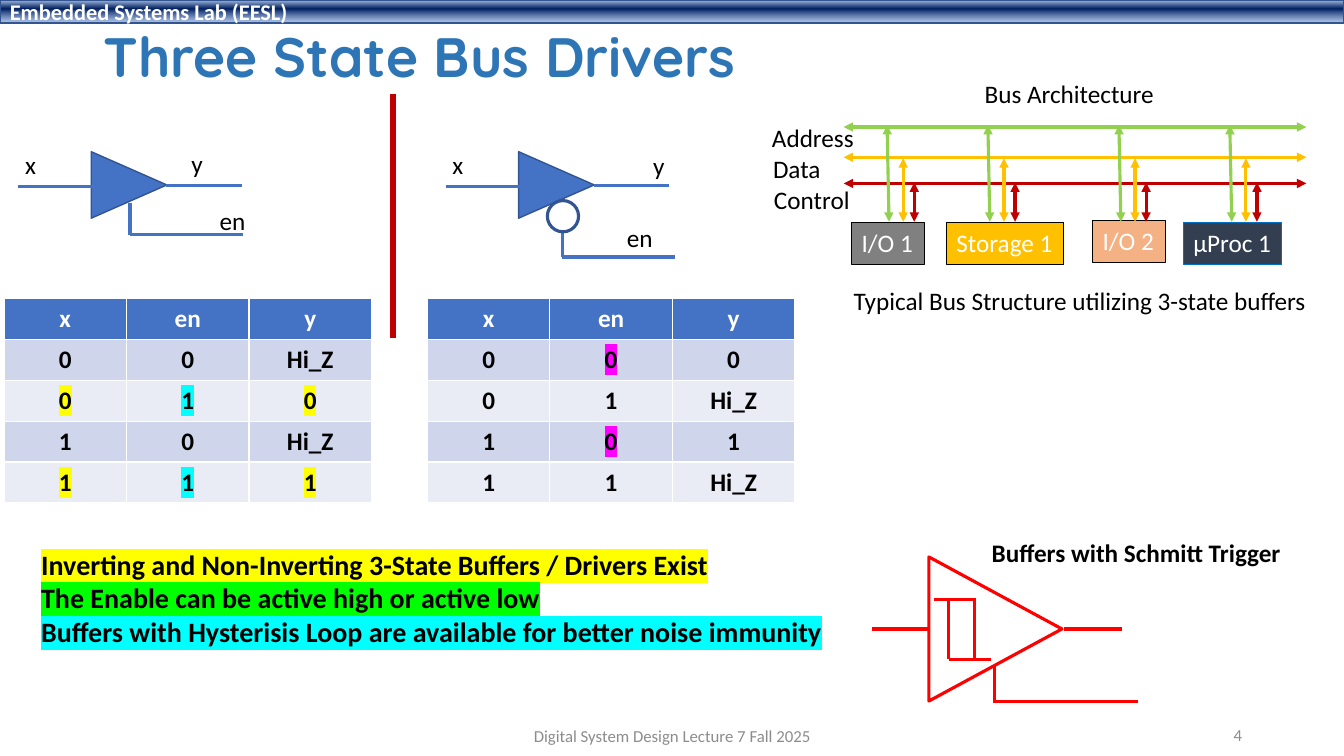
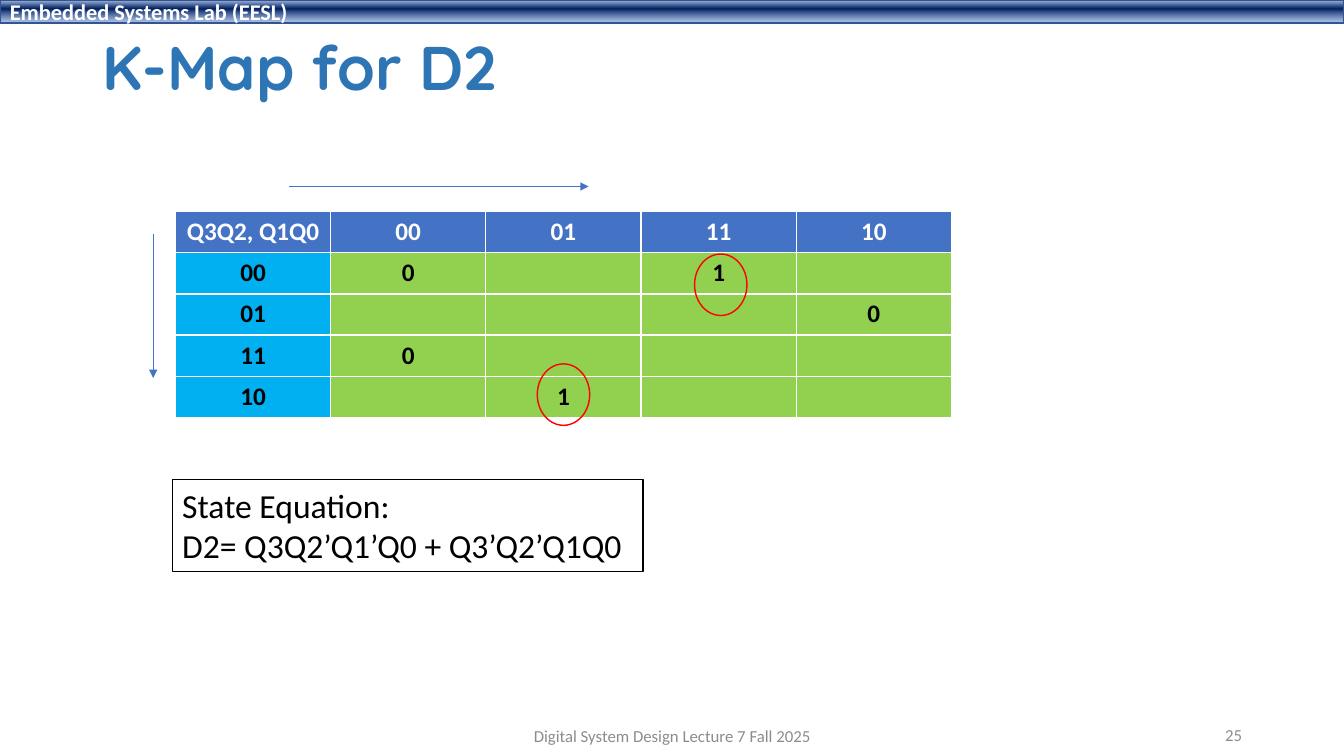
import lxml.etree
import pptx
import pptx.dml.color
import pptx.enum.shapes
import pptx.enum.text
import pptx.oxml
import pptx.oxml.ns
import pptx.util

# Colours
RGB = pptx.dml.color.RGBColor
WHITE, BLACK, GREY = RGB(255, 255, 255), RGB(0, 0, 0), RGB(0x8C, 0x8C, 0x8C)
TITLE_BLUE = RGB(0x2E, 0x75, 0xB6)
BLUE, EDGE = RGB(0x44, 0x72, 0xC4), RGB(0x32, 0x54, 0x91)
BAND_DARK, BAND_LIGHT = RGB(0xCF, 0xD5, 0xEA), RGB(0xE9, 0xEB, 0xF5)
SKY, LEAF = RGB(0, 0xB0, 0xF0), RGB(0x92, 0xD0, 0x50)
AMBER, CRIMSON, RED = RGB(0xFF, 0xC0, 0), RGB(0xC0, 0, 0), RGB(255, 0, 0)
STONE, PEACH, SLATE = RGB(0x80, 0x80, 0x80), RGB(0xF4, 0xB1, 0x83), RGB(0x33, 0x3F, 0x50)
STEEL = RGB(0, 0x70, 0xC0)
YELLOW, LIME = RGB(255, 255, 0), RGB(0, 255, 0)
CYAN, MAGENTA = RGB(0, 255, 255), RGB(255, 0, 255)

# Grid: square cells of a tenth of an inch
CELL = 0.1
COLS, ROWS = 133.33, 75
BODY_FONT, TITLE_FONT = "Calibri", "Quicksand"
BAND_STOPS = [(2, "ABC0E4", 100), (38, "002060", 100), (93, "7E9ED6", 64)]

SHAPE = pptx.enum.shapes.MSO_SHAPE
ANCHOR = pptx.enum.text.MSO_ANCHOR
ALIGN = pptx.enum.text.PP_ALIGN


def grid(*cells):
    return [pptx.util.Inches(n * CELL) for n in cells]


def child(parent, tag, **attributes):
    return lxml.etree.SubElement(parent, pptx.oxml.ns.qn(tag), attributes)


def write(tf, text, size=18, color=BLACK, bold=False, font=BODY_FONT,
          align=ALIGN.LEFT, spacing=None, marks=()):
    """One paragraph per line of text; marks are highlight colours by line."""
    for i, line in enumerate(text.split("\n")):
        p = tf.add_paragraph() if i else tf.paragraphs[0]
        p.alignment = align
        p.line_spacing = spacing
        r = p.add_run()
        r.text = line
        r.font.size = pptx.util.Pt(size)
        r.font.bold = bold
        r.font.color.rgb = color
        if i < len(marks):
            highlight = child(r.font._element, "a:highlight")
            child(highlight, "a:srgbClr", val=str(marks[i]))
        r.font.name = font


class Deck:
    """Presentation style and the slide being drawn."""

    def __init__(self):
        self.prs = pptx.Presentation()
        self.prs.slide_width, self.prs.slide_height = grid(COLS, ROWS)

    def slide(self, title, title_at, title_size, number):
        self.s = self.prs.slides.add_slide(self.prs.slide_layouts[6])
        self.band()
        self.text(title, *title_at, wrap=True, anchor=ANCHOR.MIDDLE, size=title_size,
                  color=TITLE_BLUE, bold=True, font=TITLE_FONT, spacing=0.9)
        footer = dict(wrap=True, anchor=ANCHOR.MIDDLE, size=12, color=GREY)
        self.text("Digital System Design Lecture 7 Fall 2025", 44.2, 71, 45, 4,
                  align=ALIGN.CENTER, **footer)
        self.text(str(number), 94.2, 70.9, 30, 4, align=ALIGN.RIGHT, **footer)

    def band(self):
        sp = self.shape(SHAPE.RECTANGLE, 0, 0, COLS, 2.3, line=EDGE)
        sp.fill.gradient()
        sp.fill.gradient_angle = 270
        stops = sp._element.spPr.find(".//" + pptx.oxml.ns.qn("a:gsLst"))
        for stop in list(stops):
            stops.remove(stop)
        for position, color, opacity in BAND_STOPS:
            stop = child(stops, "a:gs", pos=str(position * 1000))
            shade = child(stop, "a:srgbClr", val=color)
            child(shade, "a:alpha", val=str(opacity * 1000))
        sp.text_frame.vertical_anchor = ANCHOR.MIDDLE
        write(sp.text_frame, "Embedded Systems Lab (EESL)", size=16, color=WHITE, bold=True)

    def fit(self, tf, wrap=False, anchor=ANCHOR.TOP):
        tf.word_wrap = wrap
        tf.vertical_anchor = anchor
        if not wrap:
            tf.auto_size = pptx.enum.text.MSO_AUTO_SIZE.SHAPE_TO_FIT_TEXT

    def text(self, text, x, y, w, h, wrap=False, anchor=ANCHOR.TOP, **style):
        tf = self.s.shapes.add_textbox(*grid(x, y, w, h)).text_frame
        self.fit(tf, wrap, anchor)
        write(tf, text, **style)

    def shape(self, kind, x, y, w, h, fill=None, line=BLACK, weight=1, rotation=0):
        sp = self.s.shapes.add_shape(kind, *grid(x, y, w, h))
        sp.shadow.inherit = False
        sp.rotation = rotation
        if fill is None:
            sp.fill.background()
        else:
            sp.fill.solid()
            sp.fill.fore_color.rgb = fill
        sp.line.color.rgb = line
        sp.line.width = pptx.util.Pt(weight)
        return sp

    def box(self, text, x, y, w, h, fill, line=BLACK, weight=1, **style):
        sp = self.shape(SHAPE.RECTANGLE, x, y, w, h, fill, line, weight)
        self.fit(sp.text_frame)
        write(sp.text_frame, text, **style)

    def line(self, x1, y1, x2, y2, color=BLUE, weight=2.25, arrows=()):
        c = self.s.shapes.add_connector(pptx.enum.shapes.MSO_CONNECTOR.STRAIGHT,
                                        *grid(x1, y1, x2, y2))
        c.line.color.rgb = color
        c.line.width = pptx.util.Pt(weight)
        for end in arrows:
            child(c.line._get_or_add_ln(), f"a:{end}End", type="triangle")
        child(c._element.spPr, "a:effectLst")

    def table(self, x, y, col_width, row_height, rows, fill, marks):
        """fill gives a body cell's colour; marks maps cells to highlights."""
        w, h = col_width * len(rows[0]), row_height * len(rows)
        table = self.s.shapes.add_table(len(rows), len(rows[0]), *grid(x, y, w, h)).table
        for i, row in enumerate(rows):
            for j, value in enumerate(row):
                cell = table.cell(i, j)
                cell.fill.solid()
                cell.fill.fore_color.rgb = fill(i, j) if i else BLUE
                if value:
                    write(cell.text_frame, value, bold=True, align=ALIGN.CENTER,
                          color=BLACK if i else WHITE,
                          marks=[marks[i, j]] if (i, j) in marks else [])

    def buffer(self, x, y_label, en_label, inverted=False):
        """Three-state buffer; an inverted enable carries a bubble."""
        self.shape(SHAPE.ISOSCELES_TRIANGLE, x + 9.5, 14.6, 6.6, 7.5, BLUE, EDGE, rotation=90)
        self.line(x + 1.8, 18.5, x + 9.2, 18.5)
        self.line(x + 16.5, 18.4, x + 24, 18.4)
        stem, top, bottom = (13.4, 23, 25.5) if inverted else (12.9, 20.1, 23.3)
        self.line(x + stem, top, x + stem, bottom)
        self.line(x + stem, bottom, x + stem + 11.2, bottom)
        if inverted:
            self.shape(SHAPE.OVAL, x + 11.9, 19.9, 3.1, 3.1, line=EDGE, weight=2.25)
        self.text("x", x + 1.5, 14.3, 3.1, 4)
        self.text("y", *y_label, 3.2, 4)
        self.text("en", *en_label, 4.6, 4)


def bus_drivers(deck):
    deck.slide("Three State Bus Drivers", (9.3, 1.1, 67.1, 9.7), 39.6, 4)

    # Buffers and their truth tables
    deck.buffer(0, (18, 14.2), (20.8, 19.9))
    deck.buffer(42.4, (63.8, 14.4), (61.2, 21.6), inverted=True)
    deck.line(39, 9.3, 39, 33.5, CRIMSON, 4.5)
    inputs = ["00", "01", "10", "11"]
    active_high = {(i, j): CYAN if j == 1 else YELLOW for i in (2, 4) for j in range(3)}
    active_low = {(i, 1): MAGENTA for i in (1, 3)}
    for x, enabled, marks in [(0.4, "1", active_high), (42.4, "0", active_low)]:
        rows = [["x", "en", "y"]]
        rows += [[a, en, a if en == enabled else "Hi_Z"] for a, en in inputs]
        deck.table(x, 29.6, 12.15, 4.06, rows,
                   lambda i, j: BAND_DARK if i % 2 else BAND_LIGHT, marks)

    # Bus architecture
    both = ("head", "tail")
    deck.text("Bus Architecture", 96.7, 7.3, 19, 4)
    for y, color in [(12.6, LEAF), (15.6, AMBER), (18.2, CRIMSON)]:
        deck.line(83.7, y, 129.6, y, color, arrows=both)
    for i, (name, w) in enumerate([("Address", 10.2), ("Data", 6.8), ("Control", 9.6)]):
        deck.text(name, 75.6 + 0.1 * i, 11.6 + 3.1 * i, w, 4.1)
    devices = [("I/O 1", 84.5, 22.1, 7.2, STONE, BLACK, 88),
               ("Storage 1", 93.9, 22.1, 11.6, AMBER, BLACK, 98),
               ("I/O 2", 108.4, 21.9, 7.2, PEACH, BLACK, 111),
               ("μProc 1", 117.4, 22.1, 9.7, SLATE, STEEL, 122)]
    for name, x, y, w, fill, edge, tap in devices:
        deck.box(name, x, y, w, 4.1, fill, edge, 0.5, color=WHITE)
        deck.line(tap, 12.4, tap + 0.2, 22, LEAF, arrows=both)
        deck.line(tap + 1.6, 15.7, tap + 1.6, 22, AMBER, arrows=both)
        deck.line(tap + 2.7, 18.1, tap + 2.7, 22, CRIMSON, arrows=both)
    deck.text("Typical Bus Structure utilizing 3-state buffers", 83.7, 27.8, 47.4, 4.1)

    # Key points
    deck.text("Inverting and Non-Inverting 3-State Buffers / Drivers Exist\n"
              "The Enable can be active high or active low\n"
              "Buffers with Hysterisis Loop are available for better noise immunity",
              3.1, 53.8, 80.3, 11.1, size=20, bold=True, marks=[YELLOW, LIME, CYAN])

    # Schmitt trigger buffer
    deck.text("Buffers with Schmitt Trigger", 97.4, 52.8, 31.1, 4, bold=True)
    deck.shape(SHAPE.ISOSCELES_TRIANGLE, 91.6, 55.8, 14.3, 13.2, line=RED, weight=2.25,
               rotation=90)
    hysteresis = [(92.7, 59.5, 96.8, 59.5), (94.1, 59.5, 94.1, 65.4),
                  (96.7, 59.5, 96.7, 65.4), (94.1, 65.4, 98.3, 65.4)]
    leads = [(86.5, 62.4, 92.1, 62.4), (105.6, 62.4, 111.3, 62.4),
             (98.7, 66, 98.7, 69.6), (98.5, 69.6, 112.9, 69.6)]
    for ends in hysteresis + leads:
        deck.line(*ends, RED)


def k_map(deck):
    deck.slide("K-Map for D2", (9.2, 3.2, 115, 7.7), 44, 25)

    # Map with its reading directions
    rows = [["Q3Q2, Q1Q0", "00", "01", "11", "10"],
            ["00", "0", "", "1", ""],
            ["01", "", "", "", "0"],
            ["11", "0", "", "", ""],
            ["10", "", "1", "", ""]]
    deck.table(17.4, 21, 15.4, 4.08, rows, lambda i, j: LEAF if j else SKY, {})
    deck.line(15.2, 23.2, 15.2, 37.5, weight=0.5, arrows=["tail"])
    deck.line(28.7, 18.5, 58.4, 18.5, weight=0.5, arrows=["tail"])

    # Circled minterms and the resulting equation
    for x, y in [(53.3, 36.1), (68.9, 25.2)]:
        deck.shape(SHAPE.OVAL, x, y, 5.2, 6.1, line=RED)
    deck.box("State Equation:\nD2= Q3Q2’Q1’Q0 + Q3’Q2’Q1Q0", 17.1, 47.6, 46.7, 9.1,
             WHITE, size=24)


def main():
    deck = Deck()
    bus_drivers(deck)
    k_map(deck)
    deck.prs.save("out.pptx")


if __name__ == "__main__":
    main()
